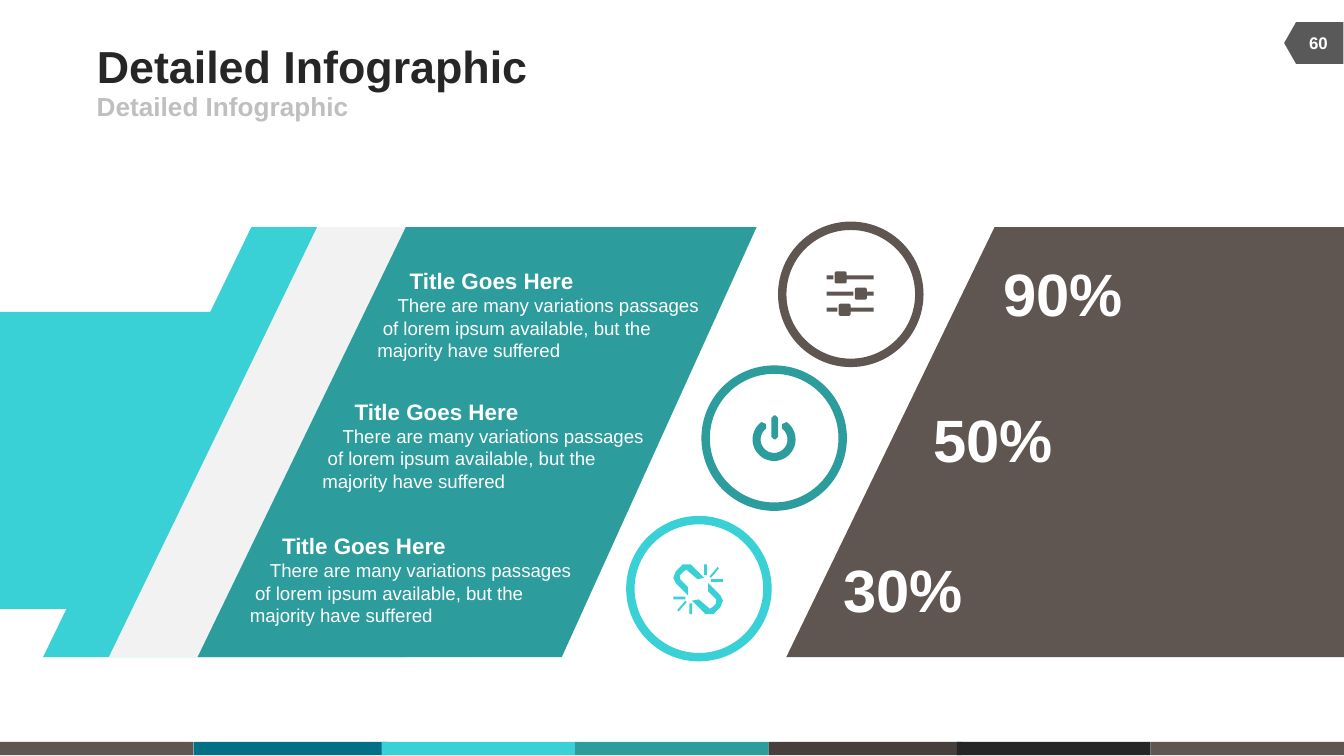
"""Build the "Detailed Infographic" slide with slanted bands, icons and percentages."""
import math

from pptx import Presentation
from pptx import util as u
from pptx.dml.color import RGBColor
from pptx.enum import shapes, text

THEME = {
    "color": {
        "brown": "5F5551", "blue": "016F86", "cyan": "39D0D6", "teal": "2D9C9C",
        "umber": "473F3C", "ink": "262626", "pale": "F2F2F2", "silver": "BFBFBF",
        "tag": "595959", "white": "FFFFFF",
    },
    "size": {"title": 24, "subtitle": 14, "page": 9, "heading": 12, "body": 10, "percent": 32},
    "font": "Arial",
    "ring": 4.5,
}

HEADING = "Detailed Infographic"
PAGE = "60"
FOOTER = [(0, "brown"), (1.44, "blue"), (2.84, "cyan"), (4.28, "teal"),
          (5.72, "umber"), (7.12, "ink"), (8.56, "brown")]
PASSAGE = [
    ("Title Goes Here", 0.28, "heading", True),
    ("There are many variations passages", 0.19, "body", False),
    ("of lorem ipsum available, but the", 0.08, "body", False),
    ("majority have suffered", 0.04, "body", False),
]
ITEMS = [
    {"passage": (2.67, 1.94), "ring": (5.82, 1.68), "color": "brown", "percent": ("90%", 7.46, 1.91)},
    {"passage": (2.26, 2.91), "ring": (5.25, 2.75), "color": "teal", "percent": ("50%", 6.94, 2.99)},
    {"passage": (1.72, 3.91), "ring": (4.69, 3.87), "color": "cyan", "percent": ("30%", 6.27, 4.11)},
]
BAND_TOP, BAND_BOTTOM = 1.69, 4.89
BANDS = [
    ("cyan", (1.87, 4.47), (0.32, 3.02)),
    ("pale", (2.36, 4.96), (0.81, 3.51)),
    ("teal", (3.02, 5.63), (1.47, 4.18)),
    ("brown", (7.4, 10), (5.85, 10)),
]
ARM = [(0, 2.32), (2.39, 2.32), (1.31, 4.53), (0, 4.53)]
SLIDERS = [(2.05, 6.21), (2.17, 6.36), (2.29, 6.24)]
LINK_MIRROR = (10.39, 8.77)
LINK_HALF = [
    (5.19, 4.31), (5.12, 4.25), (5.11, 4.24), (5.09, 4.25), (5.06, 4.28), (5.06, 4.31),
    (5.12, 4.37), (5.12, 4.43), (5.1, 4.41), (5.03, 4.34), (5.01, 4.3), (5.03, 4.25),
    (5.06, 4.22), (5.08, 4.2), (5.11, 4.2), (5.14, 4.2), (5.16, 4.22), (5.23, 4.29), (5.24, 4.3),
]
LINK_RAYS = [
    [(5.24, 4.2), (5.26, 4.2), (5.26, 4.28), (5.24, 4.28)],
    [(5.34, 4.22), (5.35, 4.23), (5.29, 4.3), (5.28, 4.29)],
    [(5.29, 4.31), (5.38, 4.31), (5.38, 4.33), (5.29, 4.33)],
]


def color(name):
    return RGBColor.from_string(THEME["color"][name])


def paint(shape, fill, line=None):
    shape.shadow.inherit = False
    shape.fill.solid()
    shape.fill.fore_color.rgb = color(fill)
    if line:
        shape.line.color.rgb = color(line)
        shape.line.width = u.Pt(THEME["ring"])
    else:
        shape.line.fill.background()
    return shape


def preset(slide, kind, box, fill, line=None):
    return paint(slide.shapes.add_shape(kind, *map(u.Inches, box)), fill, line)


def outline(slide, contours, fill):
    contours = [[(u.Inches(x), u.Inches(y)) for x, y in contour] for contour in contours]
    builder = slide.shapes.build_freeform(*contours[0][0])
    for number, contour in enumerate(contours):
        if number:
            builder.move_to(*contour[0])
        builder.add_line_segments(contour[1:], close=True)
    return paint(builder.convert_to_shape(), fill)


def write(holder, lines, ink, align=text.PP_ALIGN.LEFT, anchor=text.MSO_ANCHOR.MIDDLE,
          inset=0.0, wrap=False):
    frame = holder.text_frame
    frame_format = {
        "word_wrap": wrap, "auto_size": text.MSO_AUTO_SIZE.NONE, "vertical_anchor": anchor,
        "margin_left": u.Inches(inset), "margin_right": u.Inches(inset),
        "margin_top": u.Inches(inset / 2), "margin_bottom": u.Inches(inset / 2),
    }
    for name, value in frame_format.items():
        setattr(frame, name, value)
    for number, (words, indent, size, bold) in enumerate(lines):
        paragraph = frame.paragraphs[0] if number == 0 else frame.add_paragraph()
        paragraph.alignment = align
        if indent:
            paragraph._p.get_or_add_pPr().set("marL", str(u.Inches(indent)))
        run = paragraph.add_run()
        run.text = words
        run_format = {"name": THEME["font"], "size": u.Pt(THEME["size"][size]), "bold": bold}
        for name, value in run_format.items():
            setattr(run.font, name, value)
        run.font.color.rgb = color(ink)


def label(slide, box, lines, ink, **options):
    write(slide.shapes.add_textbox(*map(u.Inches, box)), lines, ink, **options)


def chamfered(left, top, right, bottom, cut):
    return [(left + cut, top), (right - cut, top), (right, top + cut), (right, bottom - cut),
            (right - cut, bottom), (left + cut, bottom), (left, bottom - cut), (left, top + cut)]


def bar(left, top, right, bottom):
    return [(left, top), (right, top), (right, bottom), (left, bottom)]


def sliders_icon():
    contours = []
    for top, knob in SLIDERS:
        contours += [
            bar(6.15, top, knob - 0.01, top + 0.03),
            chamfered(knob, top - 0.03, knob + 0.09, top + 0.06, 0.01),
            bar(knob + 0.09, top, 6.5, top + 0.03),
        ]
    return contours


def power_icon():
    def polar(radius, degrees):
        angle = math.radians(degrees)
        return 5.76 + radius * math.cos(angle), 3.27 + radius * math.sin(angle)

    sweep = range(-54, 235, 8)
    ring = [polar(0.16, a) for a in sweep] + [polar(0.13, 242)]
    ring += [polar(0.1, a) for a in reversed(sweep)] + [polar(0.13, -62)]
    return [ring, chamfered(5.74, 3.09, 5.79, 3.27, 0.02)]


def link_icon():
    mirror_x, mirror_y = LINK_MIRROR
    parts = [LINK_HALF, *LINK_RAYS]
    return parts + [[(mirror_x - x, mirror_y - y) for x, y in part] for part in parts]


def main():
    deck = Presentation()
    deck.slide_width = u.Inches(10)
    deck.slide_height = deck.slide_width * 9 // 16
    slide = deck.slides.add_slide(deck.slide_layouts[5])

    title = slide.shapes.title
    for name, value in zip(("left", "top", "width", "height"), (0.72, 0.29, 6.17, 0.39)):
        setattr(title, name, u.Inches(value))
    write(title, [(HEADING, 0, "title", True)], "ink")
    label(slide, (0.72, 0.68, 4.5, 0.22), [(HEADING, 0, "subtitle", True)], "silver")

    for left, fill in FOOTER:
        preset(slide, shapes.MSO_SHAPE.RECTANGLE, (left, 5.52, 1.44, 0.1), fill)
    tag = preset(slide, shapes.MSO_SHAPE.FLOWCHART_OFFPAGE_CONNECTOR, (9.62, 0.1, 0.31, 0.44), "tag")
    tag.rotation = 90
    label(slide, (9.6, 0.17, 0.42, 0.3), [(PAGE, 0, "page", True)], "white",
          align=text.PP_ALIGN.CENTER, inset=0.1, wrap=True)

    outline(slide, [ARM], "cyan")
    for fill, (top_left, top_right), (bottom_left, bottom_right) in BANDS:
        outline(slide, [[(top_left, BAND_TOP), (top_right, BAND_TOP),
                         (bottom_right, BAND_BOTTOM), (bottom_left, BAND_BOTTOM)]], fill)

    for item, icon in zip(ITEMS, (sliders_icon, power_icon, link_icon)):
        preset(slide, shapes.MSO_SHAPE.OVAL, (*item["ring"], 1.02, 1.02), "white", item["color"])
        outline(slide, icon(), item["color"])
        label(slide, (*item["passage"], 2.71, 0.81), PASSAGE, "white",
              anchor=text.MSO_ANCHOR.TOP, inset=0.1, wrap=True)
        percent, left, top = item["percent"]
        label(slide, (left, top, 0.9, 0.54), [(percent, 0, "percent", True)], "white",
              align=text.PP_ALIGN.CENTER)

    deck.save("out.pptx")


if __name__ == "__main__":
    main()
